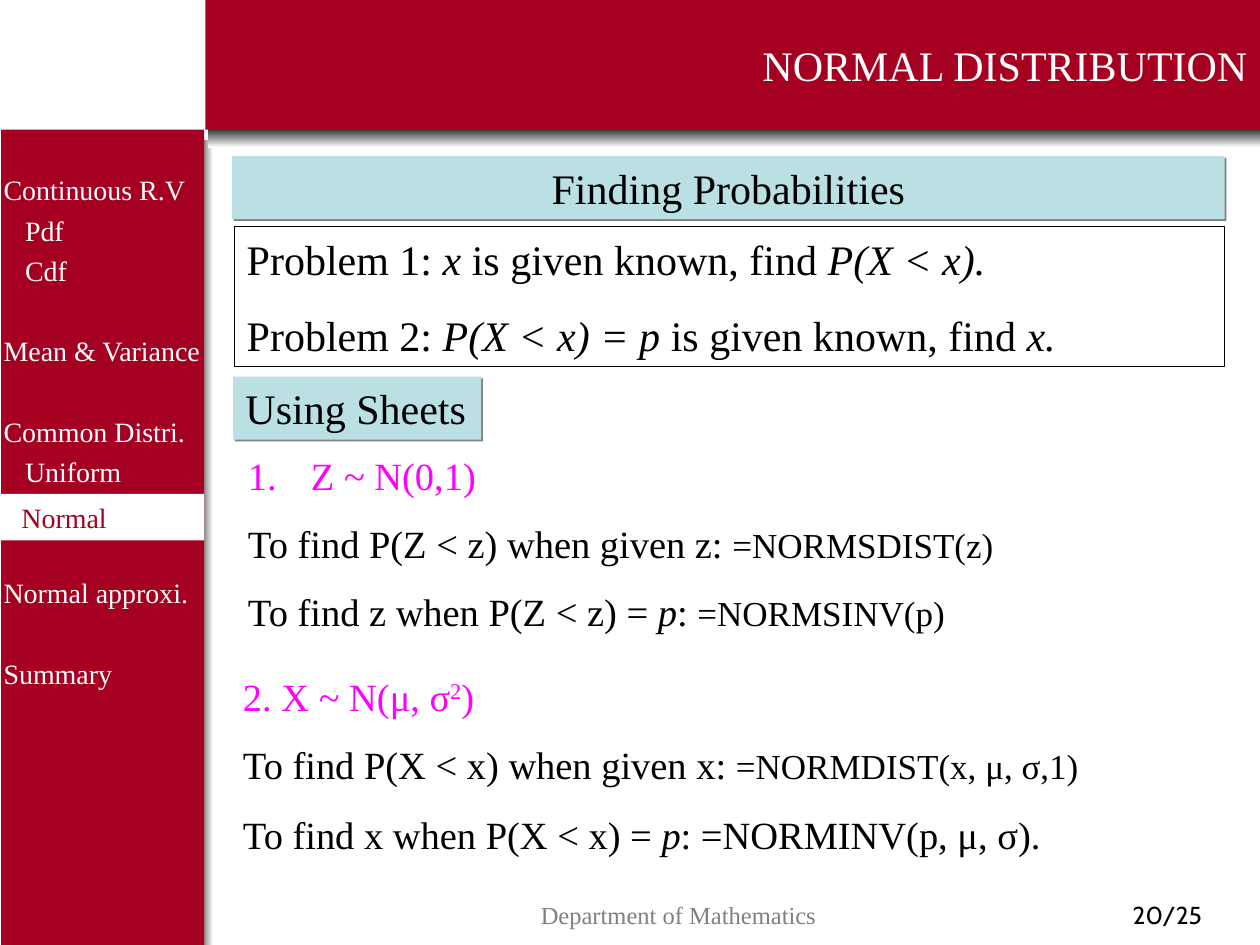
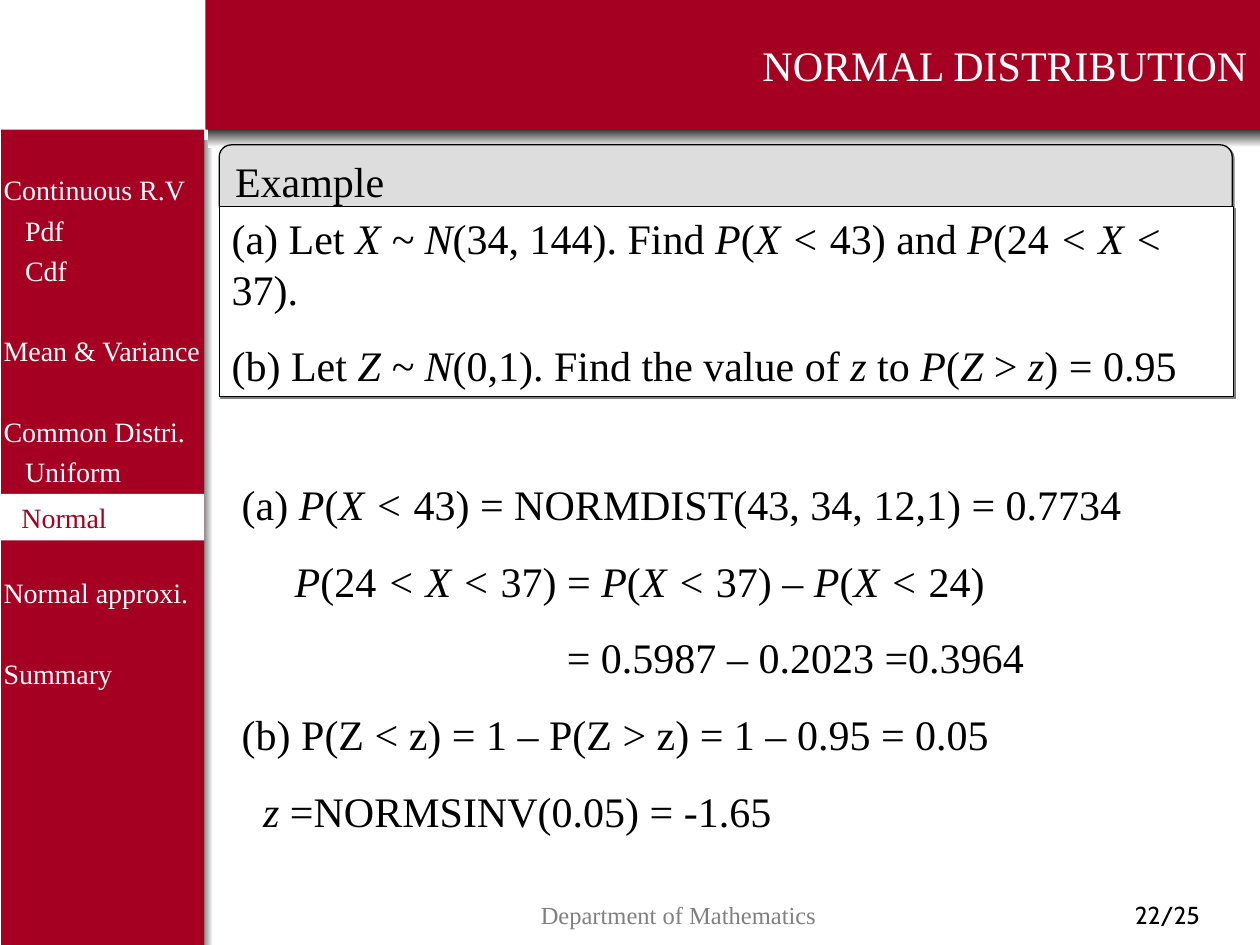
"""Build two slides on the normal distribution."""
from lxml import etree
from pptx import Presentation
from pptx.dml.color import RGBColor as Rgb
from pptx.enum.shapes import MSO_SHAPE as Kind
from pptx.enum.text import MSO_ANCHOR as Anchor, PP_ALIGN as Align
from pptx.oxml import parse_xml
from pptx.oxml.ns import qn
from pptx.util import Pt

PX = 9144
RED = Rgb(0xA5, 0x00, 0x21)
BLUE = Rgb(0xBB, 0xE0, 0xE3)
PINK = Rgb(0xFF, 0x00, 0xFF)
PALE = Rgb(0xDD, 0xDD, 0xDD)
GRAY = Rgb(0x80, 0x80, 0x80)
BLACK = Rgb(0, 0, 0)
WHITE = Rgb(0xFF, 0xFF, 0xFF)
SERIF = "Times New Roman"
SHADE = (
    '<a:effectLst xmlns:a="http://schemas.openxmlformats.org/drawingml/2006/main">'
    '<a:outerShdw dist="17961" dir="2700000" algn="ctr" rotWithShape="0">'
    '<a:srgbClr val="808080"/></a:outerShdw></a:effectLst>'
)


def draw(slide, *spot, fill=None, line=None, shade=False, kind=Kind.RECTANGLE):
    spot = [n * PX for n in spot]
    if fill is None and line is None:
        shape = slide.shapes.add_textbox(*spot)
    else:
        shape = slide.shapes.add_shape(kind, *spot)
        shape.shadow.inherit = False
        if fill is None:
            shape.fill.background()
        else:
            shape.fill.solid()
            shape.fill.fore_color.rgb = fill
        if line is None:
            shape.line.fill.background()
        else:
            shape.line.color.rgb = line
            shape.line.width = Pt(0.75)
        if shade:
            props = shape._element.spPr
            props.remove(props.find(qn("a:effectLst")))
            props.append(parse_xml(SHADE))
    shape.text_frame.word_wrap = True
    shape.text_frame.vertical_anchor = Anchor.TOP
    return shape


def write(shape, text, size=24, color=BLACK, font=SERIF, align=Align.LEFT,
          gap=0, left=0, lead=None, tail="", count=False):
    frame = shape.text_frame
    first = not frame.text
    para = frame.paragraphs[0] if first else frame.add_paragraph()
    para.alignment = align
    para.line_spacing = lead
    para.space_before = Pt(0 if first else gap)
    props = para._p.get_or_add_pPr()
    props.set("marL", str(left * PX))
    props.set("indent", str(-left * PX if count else 0))
    if count:
        tint = etree.SubElement(props, qn("a:buClr"))
        etree.SubElement(tint, qn("a:srgbClr"), val=str(color))
        etree.SubElement(props, qn("a:buFont"), typeface=font)
        etree.SubElement(props, qn("a:buAutoNum"), type="arabicPeriod")
    bits = [(bit, size, i % 2, j % 2)
            for i, part in enumerate(text.split("*"))
            for j, bit in enumerate(part.split("^"))]
    for bit, points, slant, raised in bits + [(tail, 20, 0, 0)]:
        if bit:
            run = para.add_run()
            run.text = bit
            run.font.name = font
            run.font.size = Pt(points)
            run.font.color.rgb = color
            run.font.italic = bool(slant)
            if raised:
                run.font._element.set("baseline", "30000")


deck = Presentation()
deck.slide_width, deck.slide_height = 1000 * PX, 750 * PX
plan = deck.slide_layouts[5]
slides = [deck.slides.add_slide(plan) for _ in range(2)]
one, two = slides

side = draw(one, 154, 111, 15, 639, fill=BLACK)
band = draw(one, 1, 103, 161, 647, fill=RED)
top = draw(one, 165, 99, 835, 18, fill=BLACK)
for strip, angle in ((side, 0), (top, 270)):
    strip.fill.gradient()
    strip.fill.gradient_angle = angle
    for stop, color in zip(strip.fill.gradient_stops, (BLACK, WHITE)):
        stop.color.rgb = color

menu = draw(one, -7, 127, 171, 453)
menu.text_frame.margin_right = 0
for text, left, gap in (
    ("Continuous R.V", 0, 0),
    ("Pdf", 17, 0),
    ("Cdf", 17, 0),
    ("Mean & Variance", 0, 23),
    ("Common Distri.", 0, 23),
    ("Uniform", 17, 0),
    ("Normal approxi.", 0, 46),
    ("Summary", 0, 23),
):
    write(menu, text, size=16, color=WHITE, left=left, gap=gap, lead=1.2)
foot = draw(one, 234, 709, 609, 41)
write(foot, "Department of Mathematics", size=14, color=GRAY, align=Align.CENTER)
for part in (side, band, top, menu, foot):
    plan.shapes._spTree.append(part._element)

for slide, page in zip(slides, ("20/25", "22/25")):
    title = slide.shapes.title
    title.left, title.top, title.width, title.height = (
        n * PX for n in (163, 0, 837, 103))
    title.fill.solid()
    title.fill.fore_color.rgb = RED
    title.text_frame.vertical_anchor = Anchor.MIDDLE
    write(title, "NORMAL DISTRIBUTION", color=WHITE, align=Align.RIGHT)
    mark = draw(slide, 853, 709, 147, 41)
    write(mark, page, size=14, font="Cabin", align=Align.CENTER)
    here = draw(slide, 0, 392, 162, 37, fill=WHITE)
    here.text_frame.margin_left = here.text_frame.margin_right = 0
    write(here, "Normal", size=16, color=RED, left=17)

goal = draw(one, 186, 180, 786, 111, line=BLACK)
write(goal, "Problem 1: *x* is given known, find *P(X < x).*")
write(goal, "Problem 2: *P(X < x) = p* is given known, find *x.*", gap=15)
head = draw(one, 184, 124, 788, 50, fill=BLUE, shade=True)
write(head, "Finding Probabilities", align=Align.CENTER)
tool = draw(one, 185, 299, 197, 50, fill=BLUE, shade=True)
write(tool, "Using Sheets")

unit = draw(one, 187, 354, 787, 155)
write(unit, "Z ~ N(0,1)", size=22, color=PINK, left=50, count=True)
write(unit, "To find P(Z < z) when given z: ", size=22, gap=12.5, tail="=NORMSDIST(z)")
write(unit, "To find z when P(Z < z) = *p*: ", size=22, gap=12.5, tail="=NORMSINV(p)")
case = draw(one, 183, 529, 798, 157)
write(case, "2. X ~ N(μ, σ^2^)", size=22, color=PINK)
write(case, "To find P(X < x) when given x: ", size=22, gap=12.5,
      tail="=NORMDIST(x, μ, σ,1)")
write(case, "To find x when P(X < x) = *p*: =NORMINV(p, μ, σ).", size=22, gap=13.8)

tab = draw(two, 174, 115, 804, 57, fill=PALE, line=BLACK, shade=True,
           kind=Kind.ROUNDED_RECTANGLE)
tab.text_frame.vertical_anchor = Anchor.MIDDLE
write(tab, "Example")
task = draw(two, 174, 164, 805, 151, fill=WHITE, line=BLACK, shade=True)
write(task, "(a) Let *X ~ N*(34, 144). Find *P*(*X < *43) and *P*(24 *< X <* 37).")
write(task, "(b) Let *Z ~ N*(0,1). Find the value of *z* to *P*(*Z* > *z*) = 0.95",
      gap=15)
work = draw(two, 182, 375, 801, 294)
for text, left in (
    ("(a)* P*(*X < *43) = NORMDIST(43, 34, 12,1) = 0.7734", 0),
    ("*P*(24* < X < *37) = *P*(*X <* 37) – *P*(*X <* 24)", 42),
    ("= 0.5987 – 0.2023 =0.3964", 258),
    ("(b) P(Z < z) = 1 – P(Z > z) = 1 – 0.95 = 0.05", 0),
    ("*z* =NORMSINV(0.05) = -1.65", 17),
):
    write(work, text, left=left, gap=15)

deck.save("out.pptx")
